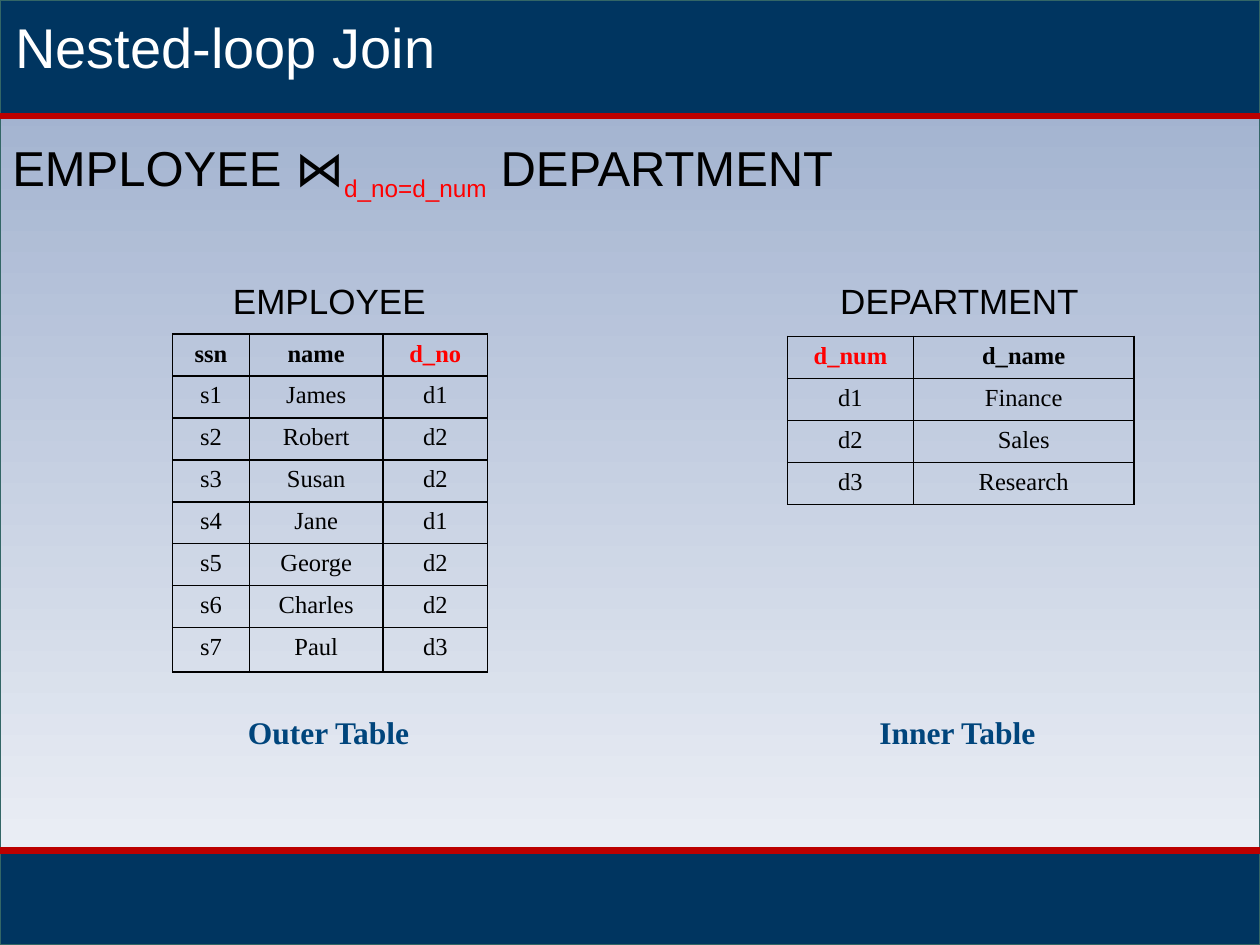
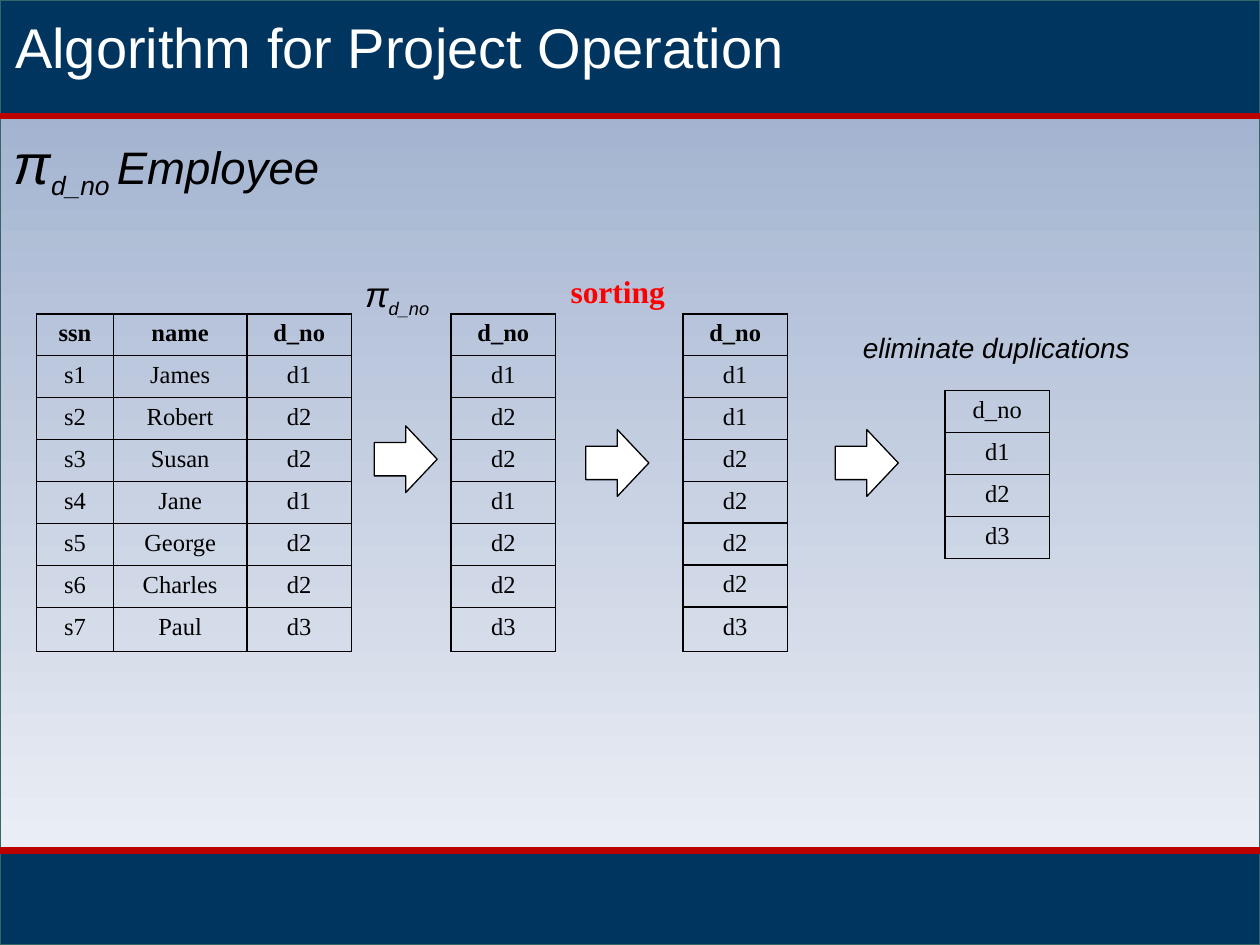
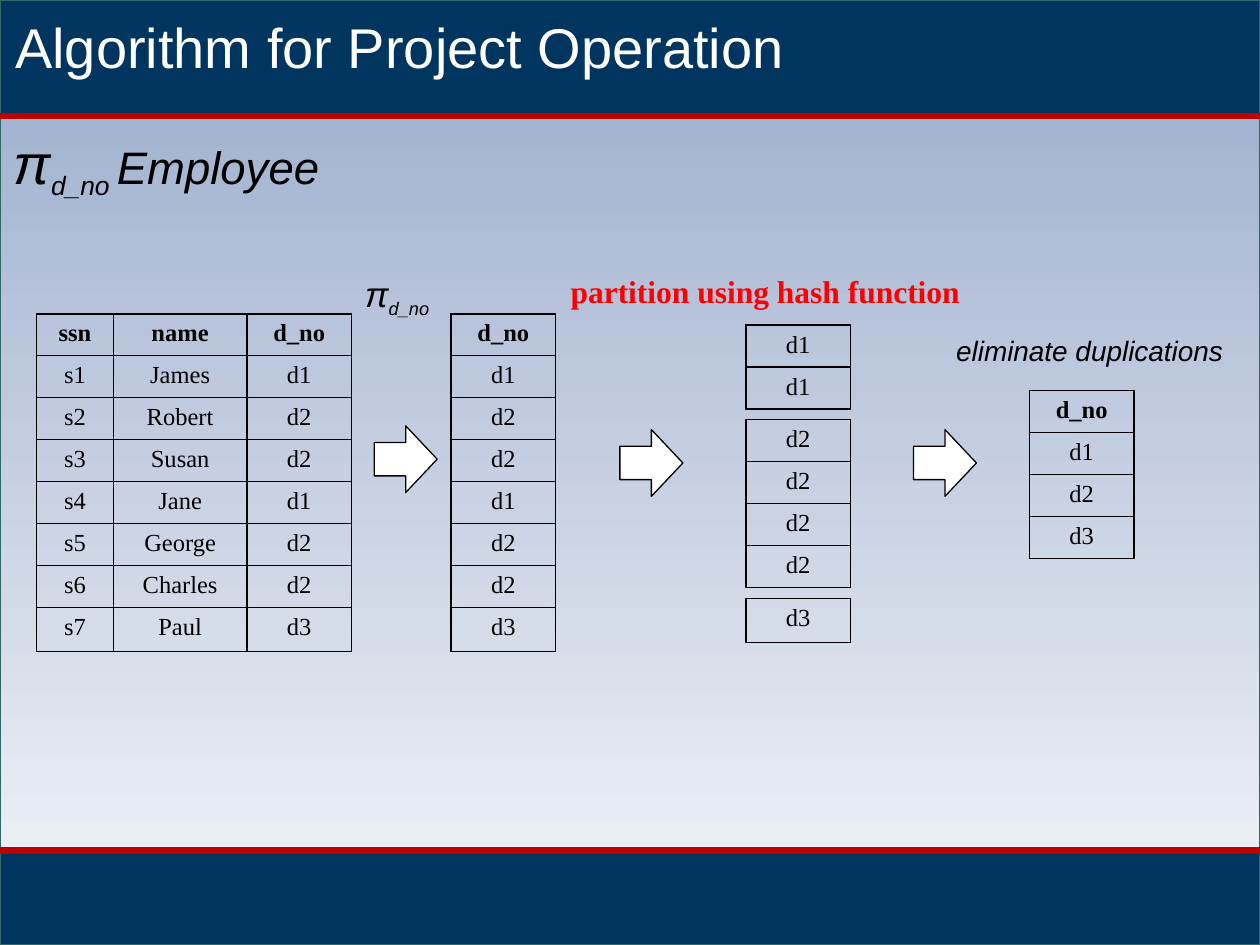
from lxml.etree import SubElement
from pptx import Presentation
from pptx.dml.color import RGBColor
from pptx.enum.shapes import MSO_CONNECTOR as CONNECTOR, MSO_SHAPE as SHAPE
from pptx.enum.text import MSO_ANCHOR as ANCHOR, MSO_AUTO_SIZE as AUTO_SIZE, PP_ALIGN as ALIGN
from pptx.oxml import parse_xml
from pptx.oxml.ns import nsdecls, qn
from pptx.util import Inches, Pt

NAVY = RGBColor(0x00, 0x35, 0x60)
BLUE = RGBColor(0x00, 0x45, 0x7C)
SKY = RGBColor(0x99, 0xAB, 0xCB)
MIST = RGBColor(0xF3, 0xF5, 0xF9)
TEAL = RGBColor(0x33, 0x66, 0x66)
CRIMSON = RGBColor(0xBC, 0x00, 0x00)
RED = RGBColor(0xFF, 0x00, 0x00)
BLACK = RGBColor(0x00, 0x00, 0x00)
WHITE = RGBColor(0xFF, 0xFF, 0xFF)
SANS, SERIF = "Arial", "Times New Roman"

ROW_HEIGHT = 1 / 3
LAST_ROW_HEIGHT = 0.35
KEY_WIDTH = 0.83


def write_text(frame, text, size, font=SANS, color=BLACK, bold=False, italic=False,
               align=ALIGN.LEFT, wrap=True, top_margin=None):
    """Write a string, or a list of (string, size, color, baseline) runs."""
    runs = [(text, size, color, 0)] if isinstance(text, str) else text
    frame.word_wrap = wrap
    frame.vertical_anchor = ANCHOR.TOP
    frame.margin_top = Inches(0.05 + 0.0015 * size if top_margin is None else top_margin)
    paragraph = frame.paragraphs[0]
    paragraph.alignment = align
    for run_text, run_size, run_color, baseline in runs:
        run = paragraph.add_run()
        run.text = run_text
        run.font.size = Pt(run_size)
        run.font.name = font
        run.font.color.rgb = run_color
        run.font.bold = bold
        run.font.italic = italic
        if baseline:
            run.font._element.set("baseline", str(baseline * 1000))


def add_table(slide, left, top, widths, rows, header=True, red_column=None, last_height=ROW_HEIGHT):
    heights = [ROW_HEIGHT] * (len(rows) - 1) + [last_height]
    table = slide.shapes.add_table(len(rows), len(widths), Inches(left), Inches(top),
                                   Inches(sum(widths)), Inches(sum(heights))).table
    table.first_row = table.horz_banding = False
    for column, width in zip(table.columns, widths):
        column.width = Inches(width)
    for row_index, values in enumerate(rows):
        table.rows[row_index].height = Inches(heights[row_index])
        is_header = header and row_index == 0
        for column_index, value in enumerate(values):
            cell = table.cell(row_index, column_index)
            color = RED if is_header and column_index == red_column else BLACK
            write_text(cell.text_frame, value, 14, font=SERIF, color=color, bold=is_header,
                       align=ALIGN.CENTER, top_margin=0.05)
            properties = cell._tc.get_or_add_tcPr()
            for side in ("L", "R", "T", "B"):
                properties.append(parse_xml(
                    f'<a:ln{side} {nsdecls("a")} w="12700"><a:solidFill>'
                    f'<a:srgbClr val="{BLACK}"/></a:solidFill></a:ln{side}>'))
            cell.fill.background()


# Data
employees = [("ssn", "name", "d_no"), ("s1", "James", "d1"), ("s2", "Robert", "d2"),
             ("s3", "Susan", "d2"), ("s4", "Jane", "d1"), ("s5", "George", "d2"),
             ("s6", "Charles", "d2"), ("s7", "Paul", "d3")]
departments = [("d_num", "d_name"), ("d1", "Finance"), ("d2", "Sales"), ("d3", "Research")]
projected = [row[-1:] for row in employees]
distinct = [("d_no",), ("d1",), ("d2",), ("d3",)]
employee_widths = [0.61, 1.06, KEY_WIDTH]

presentation = Presentation()
presentation.slide_width, presentation.slide_height = Inches(10), Inches(7.5)

# Shared background, bands and titles
slides = []
for title_text in ("Nested-loop Join", "Algorithm for Project Operation",
                   "Algorithm for Project Operation"):
    slide = presentation.slides.add_slide(presentation.slide_layouts[5])
    slides.append(slide)
    for top, height in ((0, 7.5), (6.75, 0.75), (0, 0.92)):
        band = slide.shapes.add_shape(SHAPE.RECTANGLE, 0, Inches(top), Inches(10), Inches(height))
        band.shadow.inherit = False
        band.line.color.rgb = TEAL
        band.line.width = Pt(0.75)
        if height == 7.5:
            band.fill.gradient()
            band.fill.gradient_angle = 270
            for stop, color, position in zip(band.fill.gradient_stops, (SKY, MIST), (0, 1)):
                stop.color.rgb = color
                stop.position = position
        else:
            band.fill.solid()
            band.fill.fore_color.rgb = NAVY
    for y in (0.92, 6.75):
        rule = slide.shapes.add_connector(CONNECTOR.STRAIGHT, 0, Inches(y), Inches(10), Inches(y))
        rule.line.color.rgb = CRIMSON
        rule.line.width = Pt(3.75)
        SubElement(rule._element.spPr, qn("a:effectLst"))
    title = slide.shapes.title
    title.left, title.top, title.width, title.height = map(Inches, (0.02, 0, 9.98, 0.64))
    title.text_frame.auto_size = AUTO_SIZE.NONE
    write_text(title.text_frame, title_text, 32, color=WHITE)
    slide.shapes.element.append(title.element)

join_slide, sort_slide, hash_slide = slides

# Tables of the join
add_table(join_slide, 1.37, 2.65, employee_widths, employees, red_column=2,
          last_height=LAST_ROW_HEIGHT)
add_table(join_slide, 6.25, 2.67, [1, 1.75], departments, red_column=0)

# Projection steps: groups of d_no values, then the distinct values
sorted_groups = [(2.49, ["d_no", "d1", "d1", "d2", "d2"]), (4.15, ["d2", "d2"]), (4.82, ["d3"])]
hash_groups = [(2.58, ["d1", "d1"]), (3.33, ["d2"] * 4), (4.75, ["d3"])]
for slide, group_left, groups, result_left, bold_result, arrow_lefts in (
        (sort_slide, 5.42, sorted_groups, 7.5, False, (4.65, 6.63)),
        (hash_slide, 5.92, hash_groups, 8.17, True, (4.92, 7.25))):
    add_table(slide, 0.29, 2.49, employee_widths, employees, last_height=LAST_ROW_HEIGHT)
    add_table(slide, 3.58, 2.49, [KEY_WIDTH], projected, last_height=LAST_ROW_HEIGHT)
    for top, values in groups:
        add_table(slide, group_left, top, [KEY_WIDTH], [(value,) for value in values],
                  header=values[0] == "d_no",
                  last_height=LAST_ROW_HEIGHT if values == ["d3"] else ROW_HEIGHT)
    add_table(slide, result_left, 3.1, [KEY_WIDTH], distinct, header=bold_result)
    for left, top in ((2.97, 3.38), *((arrow_left, 3.41) for arrow_left in arrow_lefts)):
        arrow = slide.shapes.add_shape(SHAPE.RIGHT_ARROW, Inches(left), Inches(top),
                                       Inches(0.5), Inches(0.53))
        arrow.shadow.inherit = False
        arrow.fill.solid()
        arrow.fill.fore_color.rgb = WHITE
        arrow.line.color.rgb = BLACK
        arrow.line.width = Pt(0.75)

# Formulas and labels
join_formula = [("EMPLOYEE ⋈", 28, BLACK, 0), ("d_no=d_num", 24, RED, -25),
                (" DEPARTMENT", 28, BLACK, 0)]
project_formula = [("π", 32, BLACK, 0), ("d_no ", 26, BLACK, -25), ("Employee", 26, BLACK, 0)]
project_label = [("π", 20, BLACK, 0), ("d_no", 18, BLACK, -25)]
heading = dict(size=20, wrap=False)
role = dict(size=18, font=SERIF, color=BLUE, bold=True, wrap=False)
step = dict(size=18, font=SERIF, color=RED, bold=True, wrap=False)
note = dict(size=16, italic=True, wrap=False)
labels = [
    (join_slide, (0, 1, 10, 0.57), join_formula, dict(size=28)),
    (join_slide, (1.75, 2.14, 1.75, 0.44), "EMPLOYEE", heading),
    (join_slide, (6.57, 2.14, 2.11, 0.44), "DEPARTMENT", heading),
    (join_slide, (1.87, 5.58, 1.5, 0.4), "Outer Table", role),
    (join_slide, (6.88, 5.58, 1.45, 0.4), "Inner Table", role),
    (sort_slide, (4.43, 2.08, 0.96, 0.4), "sorting", step),
    (sort_slide, (6.75, 2.55, 2.34, 0.37), "eliminate duplications", note),
    (hash_slide, (4.43, 2.08, 3.32, 0.4), "partition using hash function", step),
    (hash_slide, (7.49, 2.57, 2.34, 0.37), "eliminate duplications", note),
]
for slide in (sort_slide, hash_slide):
    labels.append((slide, (0.01, 0.92, 9.99, 0.64), project_formula, dict(size=32, italic=True)))
    labels.append((slide, (2.8, 2.08, 0.81, 0.44), project_label, heading | dict(italic=True)))
for slide, box, text, text_format in labels:
    label = slide.shapes.add_textbox(*map(Inches, box))
    write_text(label.text_frame, text, **text_format)

presentation.save("out.pptx")
